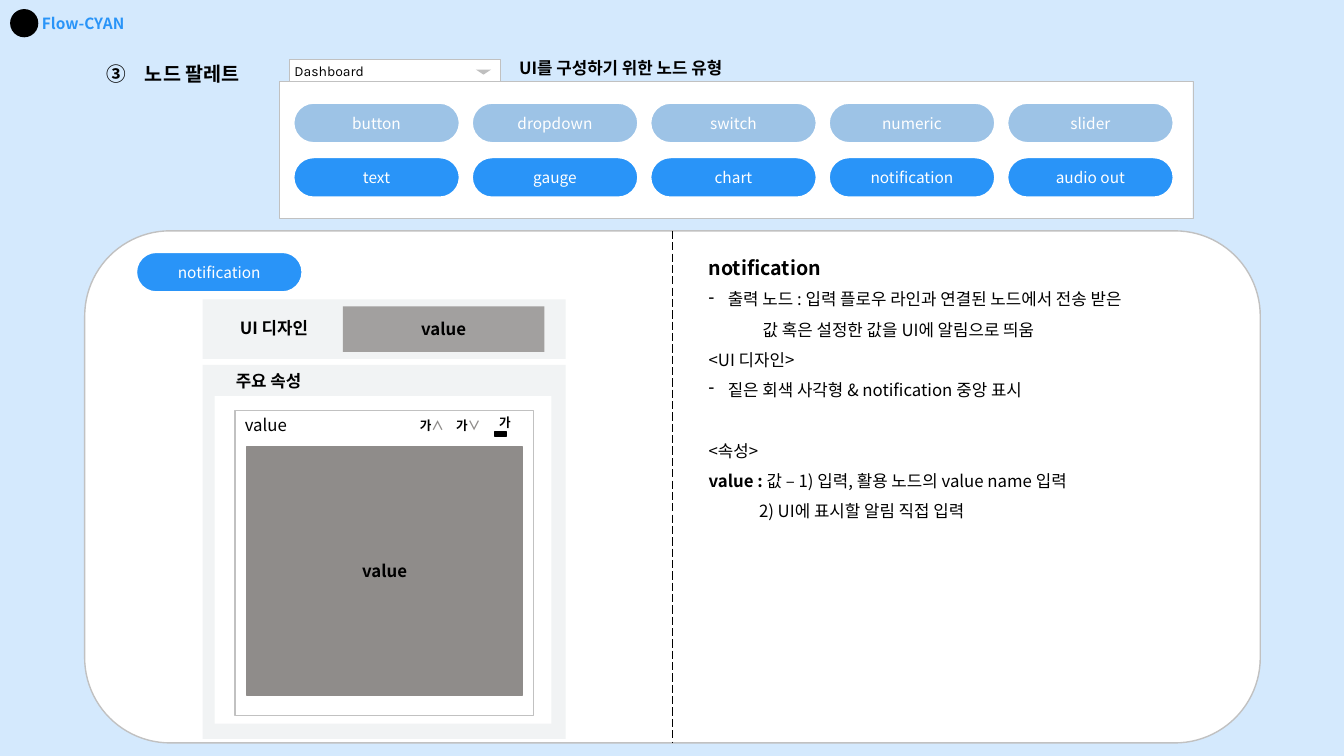
from lxml.etree import SubElement
from pptx import Presentation
from pptx.dml.color import RGBColor
from pptx.enum.dml import MSO_LINE
from pptx.enum.shapes import MSO_CONNECTOR, MSO_SHAPE as Shape
from pptx.enum.text import MSO_ANCHOR as Anchor, MSO_AUTO_SIZE as Fit, PP_ALIGN as Align
from pptx.oxml.ns import qn
from pptx.util import Inches, Pt

BLACK = RGBColor(0x00, 0x00, 0x00)
WHITE = RGBColor(0xFF, 0xFF, 0xFF)
BLUE = RGBColor(0x29, 0x94, 0xF8)
PALE_BLUE = RGBColor(0x9D, 0xC3, 0xE6)
GRAY = RGBColor(0x8F, 0x8C, 0x8A)
ARROW_GRAY = RGBColor(0xBF, 0xBF, 0xBF)
EDGE = RGBColor(0xC1, 0xC1, 0xC1)
CARD = RGBColor(0xF1, 0xF3, 0xF4)

TOP_NODES = ["button", "dropdown", "switch", "numeric", "slider"]
BOTTOM_NODES = ["text", "gauge", "chart", "notification", "audio out"]


class Deck:
    font = "Noto Sans CJK KR"

    def __init__(self, width, height):
        self.prs = Presentation()
        self.prs.slide_width = Inches(width)
        self.prs.slide_height = Inches(height)
        self.slide = self.prs.slides.add_slide(self.prs.slide_layouts[6])

    def run(self, p, text, size=12, color=BLACK, bold=False, font=None):
        for i, part in enumerate(text.split("\n")):
            if i:
                p.add_line_break()
                br = p._p.findall(qn("a:br"))[-1]
                SubElement(br, qn("a:rPr"), sz=str(size * 100))
            r = p.add_run()
            r.text = part
            style = {"size": Pt(size), "bold": bold, "name": font or self.font}
            for name, value in style.items():
                setattr(r.font, name, value)
            r.font.color.rgb = color
            SubElement(r._r.get_or_add_rPr(), qn("a:ea"), typeface=font or self.font)

    def bullet(self, p, indent, tag, **attrs):
        pPr = p._p.get_or_add_pPr()
        pPr.set("marL", str(Inches(indent)))
        pPr.set("indent", str(-Inches(indent)))
        SubElement(pPr, qn(tag), **attrs)

    def shape(self, kind, box, fill, line=None, weight=1, alpha=None):
        s = self.slide.shapes.add_shape(kind, *map(Inches, box))
        s.shadow.inherit = False
        s.fill.solid()
        s.fill.fore_color.rgb = fill
        if alpha:
            color = s._element.spPr.find(".//" + qn("a:srgbClr"))
            SubElement(color, qn("a:alpha"), val=str(alpha * 1000))
        if line is None:
            s.line.fill.background()
        else:
            s.line.color.rgb = line
            s.line.width = Pt(weight)
        return s

    def label(self, s, text, align=Align.CENTER, anchor=Anchor.MIDDLE, inset=None, **style):
        tf = s.text_frame
        tf.word_wrap = True
        tf.vertical_anchor = anchor
        if inset:
            for side in ("left", "top", "right", "bottom"):
                setattr(tf, "margin_" + side, Inches(inset))
        p = tf.paragraphs[0]
        p.alignment = align
        self.run(p, text, **style)

    def pill(self, x, y, text, fill=BLUE):
        s = self.shape(Shape.ROUNDED_RECTANGLE, (x, y, 1.65, 0.4), fill, WHITE, 1.5)
        s.adjustments[0] = 0.5
        self.label(s, text, size=11, color=WHITE)

    def text(self, box, *runs, align=Align.LEFT, wrap=True):
        s = self.slide.shapes.add_textbox(*map(Inches, box))
        tf = s.text_frame
        tf.word_wrap = wrap
        tf.auto_size = Fit.SHAPE_TO_FIT_TEXT
        p = tf.paragraphs[0]
        p.alignment = align
        for text, style in runs:
            self.run(p, text, **style)
        return tf

    def divider(self, panel):
        c = self.slide.shapes.add_connector(MSO_CONNECTOR.STRAIGHT, 0, 0, 0, 0)
        c.begin_connect(panel, 0)
        c.end_connect(panel, 2)
        c.line.color.rgb = BLACK
        c.line.width = Pt(0.75)
        c.line.dash_style = MSO_LINE.LONG_DASH
        SubElement(c._element.spPr, qn("a:effectLst"))

    def description(self, box, title, entries):
        tf = self.text(box, (title, {"size": 14, "bold": True}))
        tf.paragraphs[0].line_spacing = 1.5
        for dashed, gap, runs in entries:
            p = tf.add_paragraph()
            p.line_spacing = 1.5
            if gap:
                p.space_before = Pt(gap)
            if dashed:
                self.bullet(p, 0.19, "a:buChar", char="-")
            for text, bold in runs:
                self.run(p, text, bold=bold)


def main():
    deck = Deck(13.33, 7.5)
    bold = {"bold": True}

    deck.shape(Shape.RECTANGLE, (0, -0.02, 13.33, 7.52), BLUE, alpha=20)
    deck.text((0.02, 0.09, 1.54, 0.29),
              ("  Flow-CYAN", {"size": 11, "color": BLUE, "bold": True}), align=Align.CENTER)
    deck.shape(Shape.OVAL, (0.1, 0.09, 0.28, 0.28), BLACK)
    panel = deck.shape(Shape.ROUNDED_RECTANGLE, (0.84, 2.29, 11.66, 5.08), WHITE, EDGE)

    deck.shape(Shape.RECTANGLE, (2.01, 2.97, 3.6, 0.59), CARD)
    deck.shape(Shape.RECTANGLE, (2.01, 3.62, 3.6, 3.71), CARD)
    deck.shape(Shape.RECTANGLE, (2.13, 3.93, 3.34, 3.25), WHITE)
    deck.text((2.28, 3.1, 0.94, 0.33), ("UI 디자인", bold), wrap=False)
    deck.text((2.24, 3.63, 0.93, 0.33), ("주요 속성", bold), wrap=False)

    deck.shape(Shape.RECTANGLE, (2.77, 0.81, 9.06, 1.36), WHITE, EDGE, 0.25)
    for y, fill, names in ((1.02, PALE_BLUE, TOP_NODES), (1.56, BLUE, BOTTOM_NODES)):
        for col, name in enumerate(names):
            deck.pill(2.91 + 1.77 * col, y, name, fill)

    deck.text((5.05, 0.52, 2.47, 0.3), ("UI를 구성하기 위한 노드 유형", bold), wrap=False)
    deck.pill(1.35, 2.5, "notification")
    deck.divider(panel)
    heading = deck.text((0.96, 0.57, 1.7, 0.34), ("노드 팔레트", {"size": 14, "bold": True}))
    deck.bullet(heading.paragraphs[0], 0.38, "a:buAutoNum", type="circleNumDbPlain", startAt="3")

    dropdown = deck.shape(Shape.RECTANGLE, (2.87, 0.59, 2.09, 0.22), WHITE, EDGE, 0.25)
    deck.label(dropdown, "Dashboard", Align.LEFT, inset=0.05, size=10, font="Karla")
    arrow = deck.shape(Shape.ISOSCELES_TRIANGLE, (4.72, 0.69, 0.15, 0.05), ARROW_GRAY)
    arrow.rotation = 180

    preview = deck.shape(Shape.RECTANGLE, (3.4, 3.04, 2, 0.45), GRAY, alpha=80)
    deck.label(preview, "value", bold=True)

    deck.description((6.93, 2.37, 6.03, 3.14), "notification", [
        (True, 0, [("출력 노드 : 입력 플로우 라인과 연결된 노드에서 전송 받은 \n"
                    "\t 값 혹은 설정한 값을 UI에 알림으로 띄움", False)]),
        (False, 0, [("<UI 디자인>", False)]),
        (True, 0, [("짙은 회색 사각형 & notification 중앙 표시", False)]),
        (False, 21.6, [("<속성>", False)]),
        (False, 0, [("value : ", True),
                    ("값 – 1) 입력, 활용 노드의 value name 입력\n"
                     "\t2) UI에 표시할 알림 직접 입력", False)]),
    ])

    editor = deck.shape(Shape.RECTANGLE, (2.33, 4.07, 2.96, 3.03), WHITE, EDGE)
    deck.label(editor, "value", Align.LEFT, Anchor.TOP)
    canvas = deck.shape(Shape.RECTANGLE, (2.45, 4.43, 2.73, 2.47), GRAY, GRAY)
    deck.label(canvas, "value", bold=True)

    glyph = ("가", {"size": 9, "bold": True})
    deck.text((4.87, 4.07, 0.18, 0.25), glyph, align=Align.CENTER)
    deck.shape(Shape.RECTANGLE, (4.91, 4.28, 0.11, 0.05), BLACK, BLACK)
    for x, mark in ((4.05, "∧"), (4.41, "∨")):
        deck.text((x, 4.1, 0.47, 0.25), glyph,
                  (mark, {"size": 9, "color": GRAY, "bold": True}), align=Align.CENTER)

    deck.prs.save("out.pptx")


if __name__ == "__main__":
    main()
